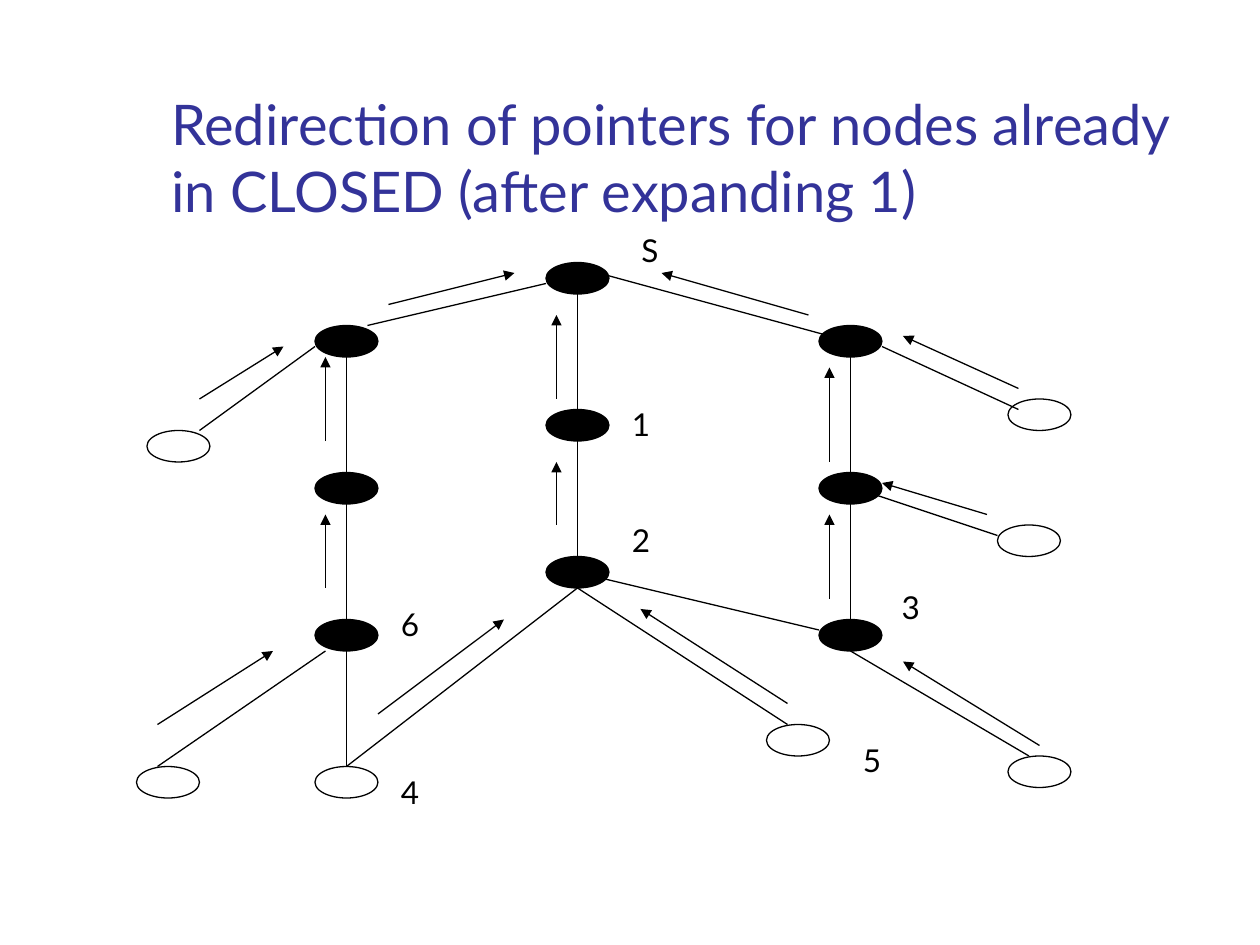
from lxml import etree
from pptx import Presentation
from pptx.dml.color import RGBColor
from pptx.enum.shapes import MSO_CONNECTOR, MSO_SHAPE
from pptx.enum.text import MSO_ANCHOR
from pptx.oxml.ns import qn
from pptx.util import Cm, Pt

STRAIGHT, OVAL = MSO_CONNECTOR.STRAIGHT, MSO_SHAPE.OVAL
TOP, BOTTOM = MSO_ANCHOR.TOP, MSO_ANCHOR.BOTTOM

THEME = {
    "font": "Lato", "title_size": Pt(32), "label_size": Pt(18),
    "title": RGBColor(0x33, 0x33, 0x99), "ink": RGBColor(0, 0, 0),
    "line": Pt(0.75),
}

# Content: all graph positions are in grid steps, twelve to the inch
STEP = 2.54 / 12
NODE_W, NODE_H = 6, 3

TITLE = "Redirection of pointers for nodes already in CLOSED (after expanding 1)"

# Columns of nodes: left edge, tops of the closed nodes
CHAINS = [(30, (31, 45, 59)), (52, (25, 39, 53)), (78, (31, 45, 59))]
NODE_4 = (30, 73)
OPEN_NODES = [NODE_4, (73, 69), (96, 72), (13, 73), (14, 41), (96, 38), (95, 50)]

SLANTED_LINKS = [
    (55, 56, 33, 73), (55, 56, 75, 69), (81, 62, 98, 72), (31, 62, 15, 73),
    (78, 60, 57, 55), (30, 33, 19, 41), (52, 27, 35, 31), (79, 32, 57, 26),
    (84, 33, 97, 39), (83, 47, 95, 51),
]
POINTERS = [
    (15, 69, 26, 62), (31, 56, 31, 49), (31, 42, 31, 34), (19, 38, 27, 33),
    (37, 29, 49, 26), (36, 68, 48, 59), (53, 50, 53, 44), (53, 38, 53, 30),
    (77, 30, 63, 26), (97, 37, 86, 32), (75, 67, 61, 58), (99, 71, 86, 63),
    (79, 57, 79, 49), (79, 44, 79, 35), (94, 49, 84, 46),
]
LABELS = [
    ("S", 59.9, 21.4), ("1", 59, 38), ("2", 59, 49), ("5", 81, 70),
    ("4", 37, 73), ("6", 37, 57), ("3", 84.7, 55.4),
]


def grid(*steps):
    return [Cm(n * STEP) for n in steps]


def add_node(s, x, y, closed):
    sp = s.shapes.add_shape(OVAL, *grid(x, y, NODE_W, NODE_H))
    sp.shadow.inherit = False
    if closed:
        sp.fill.solid()
        sp.fill.fore_color.rgb = THEME["ink"]
    else:
        sp.fill.background()
    sp.line.color.rgb = THEME["ink"]
    sp.line.width = THEME["line"]


def add_line(s, ends, arrow=False):
    cx = s.shapes.add_connector(STRAIGHT, *grid(*ends))
    cx.line.color.rgb = THEME["ink"]
    cx.line.width = THEME["line"]
    if arrow:
        etree.SubElement(cx.line._get_or_add_ln(), qn("a:tailEnd"), type="triangle")
    etree.SubElement(cx._element.spPr, qn("a:effectLst"))


def add_text(s, text, box, size, color, wrap, anchor):
    tf = s.shapes.add_textbox(*box).text_frame
    tf.word_wrap, tf.vertical_anchor = wrap, anchor
    r = tf.paragraphs[0].add_run()
    r.text = text
    for name, value in {"name": THEME["font"], "size": size}.items():
        setattr(r.font, name, value)
    r.font.color.rgb = color


def main():
    prs = Presentation()
    prs.slide_width, prs.slide_height = Cm(25.4), Cm(19.05)
    s = prs.slides.add_slide(prs.slide_layouts[6])

    # Title
    add_text(s, TITLE, (Cm(3.2), Cm(0.58), Cm(21.64), Cm(4.06)),
             THEME["title_size"], THEME["title"], True, BOTTOM)

    # Nodes
    for x, tops in CHAINS:
        for y in tops:
            add_node(s, x, y, closed=True)
    for x, y in OPEN_NODES:
        add_node(s, x, y, closed=False)

    # Vertical links run from each node's bottom to the next node's top
    for x, tops in CHAINS:
        if x == NODE_4[0]:
            tops += (NODE_4[1],)
        mid = x + NODE_W / 2
        for upper, lower in zip(tops, tops[1:]):
            add_line(s, (mid, upper + NODE_H, mid, lower))

    # Slanted links and pointers to parents
    for ends in SLANTED_LINKS:
        add_line(s, ends)
    for ends in POINTERS:
        add_line(s, ends, arrow=True)

    # Node labels
    for text, x, y in LABELS:
        add_text(s, text, (*grid(x, y), Cm(0.86), Cm(1.02)),
                 THEME["label_size"], THEME["ink"], False, TOP)

    prs.save("out.pptx")


if __name__ == "__main__":
    main()
